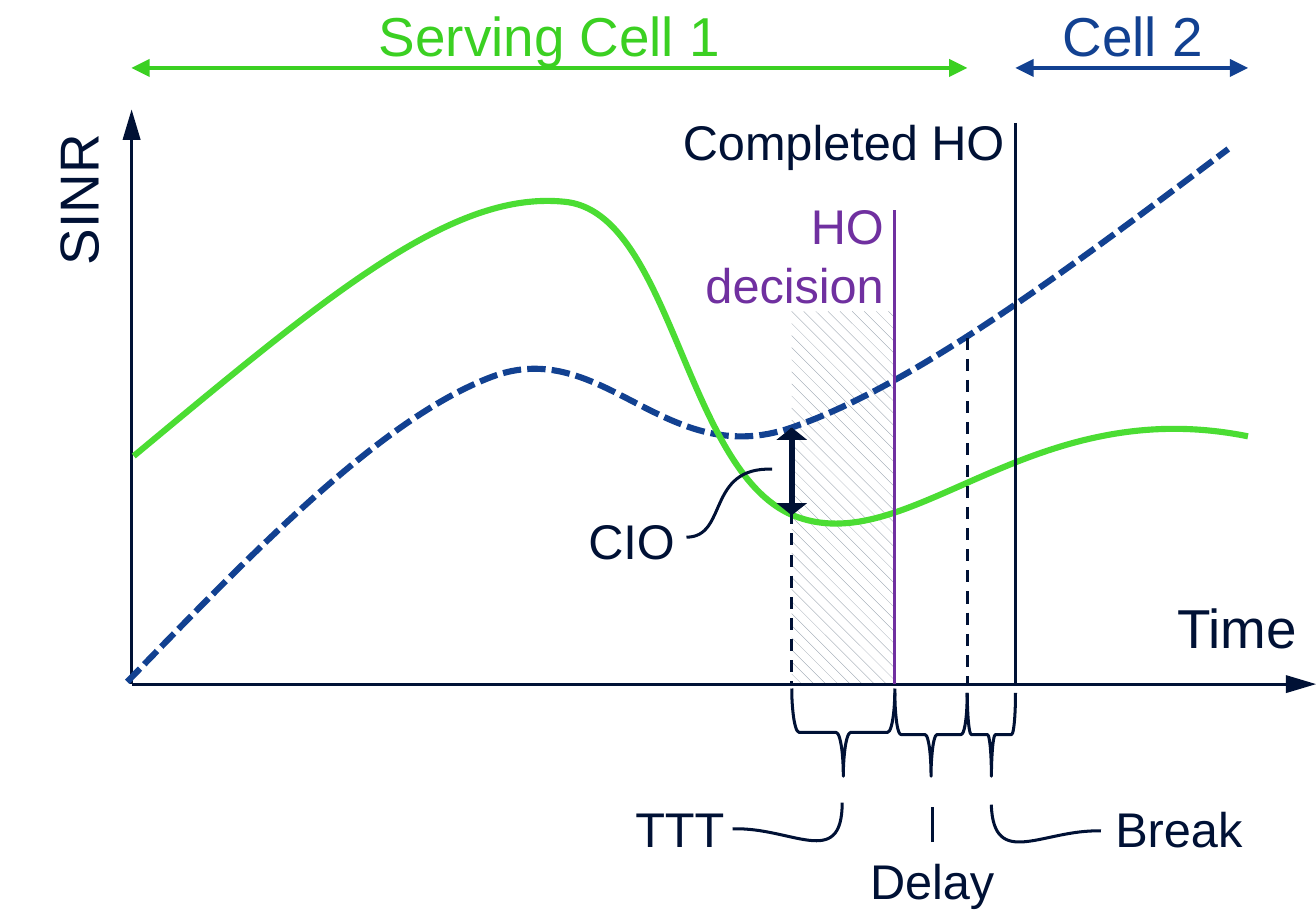
"""Build the handover timing diagram: SINR of two cells over time."""
import pptx
import pptx.util
import pptx.dml.color
import pptx.enum.dml
import pptx.enum.shapes
import pptx.enum.text
import pptx.oxml
from pptx.oxml.ns import qn

COLORS = {"ink": "001135", "serving": "3BD022", "serving_curve": "4BDD33",
          "target": "124191", "decision": "7030A0", "hatch": "98A2AE", "white": "FFFFFF"}
ORIGIN, BASE = 0.6, 3.12
TRIGGER, DECISION, DETACH, COMPLETE, END = 3.61, 4.08, 4.41, 4.63, 5.69
CELL_Y, HATCH_TOP, BRACE_BOTTOM = 0.31, 1.42, 3.54

AXIS, SPAN, GAP = ("med", "lg"), ("med", "med"), ("lg", "sm")
AXES = [
    ((ORIGIN, BASE), (6, BASE), "ink", 1, None, {"tailEnd": AXIS}),
    ((ORIGIN, BASE), (ORIGIN, 0.5), "ink", 1, None, {"tailEnd": AXIS}),
]
CURVES = [
    ("target", 2, "SQUARE_DOT", [(0.58, 3.11), (1.16, 2.51), (1.74, 1.91), (2.24, 1.72), (2.74, 1.53),
     (3.02, 2.13), (3.58, 1.96), (4.14, 1.78), (4.87, 1.23), (5.6, 0.68)]),
    ("serving_curve", 2, None, [(0.61, 2.08), (1.5, 1.34), (2.06, 0.87), (2.57, 0.92), (3.07, 0.96),
     (3.12, 2.18), (3.64, 2.36), (4.16, 2.54), (4.7, 1.79), (5.69, 1.99)]),
    ("ink", 1, None, [(3.13, 2.45), (3.32, 2.45), (3.22, 2.13), (3.52, 2.14)]),
    ("ink", 1, None, [(3.34, 3.78), (3.61, 3.77), (3.84, 3.97), (3.84, 3.66)]),
    ("ink", 1, None, [(5.02, 3.79), (4.76, 3.78), (4.53, 3.97), (4.52, 3.67)]),
]
LINES = [
    ((TRIGGER, 1.95), (TRIGGER, BASE), "ink", 1, "DASH", {}),
    ((DECISION, 0.96), (DECISION, BASE), "decision", 1, None, {}),
    ((DETACH, 1.54), (DETACH, BASE), "ink", 1, "DASH", {}),
    ((COMPLETE, 0.56), (COMPLETE, BASE), "ink", 1, None, {}),
    ((ORIGIN, CELL_Y), (DETACH, CELL_Y), "serving", 1.5, None, {"headEnd": SPAN, "tailEnd": SPAN}),
    ((COMPLETE, CELL_Y), (END, CELL_Y), "target", 1.5, None, {"headEnd": SPAN, "tailEnd": SPAN}),
    ((TRIGGER, 2.35), (TRIGGER, 1.95), "ink", 2, None, {"headEnd": GAP, "tailEnd": GAP}),
    ((4.25, 3.84), (4.25, 3.68), "ink", 1, None, {}),
]
BRACES = [(TRIGGER, DECISION, 0.4), (DECISION, DETACH, 0.38), (DETACH, COMPLETE, 0.38)]
LABELS = [
    ("Time", (5.28, 2.71, 0.72, 0.3), 18, "ink", "CENTER", 0),
    ("SINR", (-0.04, 0.76, 0.78, 0.3), 18, "ink", "CENTER", 270),
    ("Serving Cell 1", (1.28, 0.01, 2.45, 0.3), 18, "serving", "CENTER", 0),
    ("Cell 2", (4.61, 0.01, 1.11, 0.3), 18, "target", "CENTER", 0),
    ("CIO", (2.65, 2.33, 0.46, 0.27), 16, "ink", "CENTER", 0),
    ("TTT", (2.85, 3.64, 0.5, 0.27), 16, "ink", "CENTER", 0),
    ("Delay", (3.89, 3.88, 0.72, 0.27), 16, "ink", "CENTER", 0),
    ("Break", (5.03, 3.64, 0.69, 0.27), 16, "ink", "CENTER", 0),
    ("Completed HO", (3.01, 0.51, 1.57, 0.27), 16, "ink", "RIGHT", 0),
    ("HO\vdecision", (3.13, 0.89, 0.9, 0.54), 16, "decision", "RIGHT", 0),
]
FRAME = {"word_wrap": True, "margin_left": 0, "margin_right": 0, "margin_top": 0, "margin_bottom": 0,
         "vertical_anchor": pptx.enum.text.MSO_ANCHOR.MIDDLE,
         "auto_size": pptx.enum.text.MSO_AUTO_SIZE.SHAPE_TO_FIT_TEXT}


def inch(v):
    return pptx.util.Cm(v * 2.54)


def rgb(name):
    return pptx.dml.color.RGBColor.from_string(COLORS[name])


def apply(target, values):
    for name, value in values.items():
        setattr(target, name, value)


def stroke(sp, color, width, dash=None):
    sp.line.color.rgb = rgb(color)
    sp.line.width = pptx.util.Pt(width)
    if dash:
        sp.line.dash_style = getattr(pptx.enum.dml.MSO_LINE, dash)


def add_line(s, start, end, color, width, dash, heads):
    sp = s.shapes.add_connector(pptx.enum.shapes.MSO_CONNECTOR.STRAIGHT,
                                *(inch(v) for v in start + end))
    stroke(sp, color, width, dash)
    ln = sp.line._get_or_add_ln()
    for tag, (w, length) in heads.items():
        head = pptx.oxml.parse_xml(f'<a:{tag} xmlns:a="http://schemas.openxmlformats.org/drawingml/2006/main"/>')
        for key, value in (("type", "triangle"), ("w", w), ("len", length)):
            head.set(key, value)
        ln.append(head)
    sp._element.spPr.append(sp._element.makeelement(qn("a:effectLst"), {}))


def bezier(pts, t):
    weights = ((1 - t) ** 3, 3 * t * (1 - t) ** 2, 3 * t * t * (1 - t), t ** 3)
    return tuple(inch(sum(w * p[i] for w, p in zip(weights, pts))) for i in (0, 1))


def add_curve(s, color, width, dash, pts):
    segments = [pts[i:i + 4] for i in range(0, len(pts) - 1, 3)]
    outline = [bezier(seg, k / 40) for seg in segments for k in range(41)]
    builder = s.shapes.build_freeform(*outline[0])
    builder.add_line_segments(outline[1:], close=False)
    sp = builder.convert_to_shape()
    route = sp._element.spPr.find(".//" + qn("a:path"))
    for child in list(route)[1:]:
        route.remove(child)
    for seg in segments:
        cubic = route.makeelement(qn("a:cubicBezTo"), {})
        route.append(cubic)
        for x, y in seg[1:]:
            point = {"x": str(inch(x) - sp.left), "y": str(inch(y) - sp.top)}
            cubic.append(route.makeelement(qn("a:pt"), point))
    sp.fill.background()
    sp.shadow.inherit = False
    stroke(sp, color, width, dash)


def add_brace(s, start, end, depth):
    span = end - start
    left, top = (start + end - depth) / 2, BRACE_BOTTOM - (depth + span) / 2
    sp = s.shapes.add_shape(pptx.enum.shapes.MSO_SHAPE.RIGHT_BRACE,
                            *(inch(v) for v in (left, top, depth, span)))
    sp.rotation = 90
    sp.fill.background()
    sp.shadow.inherit = False
    stroke(sp, "ink", 1)


def add_label(s, text, box, size, color, align, rotation):
    sp = s.shapes.add_textbox(*(inch(v) for v in box))
    sp.rotation = rotation
    tf = sp.text_frame
    apply(tf, FRAME)
    p = tf.paragraphs[0]
    p.text = text
    apply(p, {"alignment": getattr(pptx.enum.text.PP_ALIGN, align), "space_after": pptx.util.Pt(6)})
    for r in p.runs:
        apply(r.font, {"name": "Arial", "size": pptx.util.Pt(size)})
        r.font.color.rgb = rgb(color)


def add_hatch(s):
    box = (TRIGGER, HATCH_TOP, DECISION - TRIGGER, BASE - HATCH_TOP)
    sp = s.shapes.add_shape(pptx.enum.shapes.MSO_SHAPE.RECTANGLE, *(inch(v) for v in box))
    sp.fill.patterned()
    sp.fill.pattern = pptx.enum.dml.MSO_PATTERN.WIDE_DOWNWARD_DIAGONAL
    sp.fill.fore_color.rgb = rgb("hatch")
    sp.fill.back_color.rgb = rgb("white")
    sp.line.fill.background()
    sp.shadow.inherit = False


prs = pptx.Presentation()
apply(prs, {"slide_width": inch(6), "slide_height": inch(4.2)})
s = prs.slides.add_slide(prs.slide_layouts[6])
add_hatch(s)
for add, items in ((add_line, AXES), (add_curve, CURVES), (add_line, LINES),
                   (add_brace, BRACES), (add_label, LABELS)):
    for item in items:
        add(s, *item)
prs.save("out.pptx")
